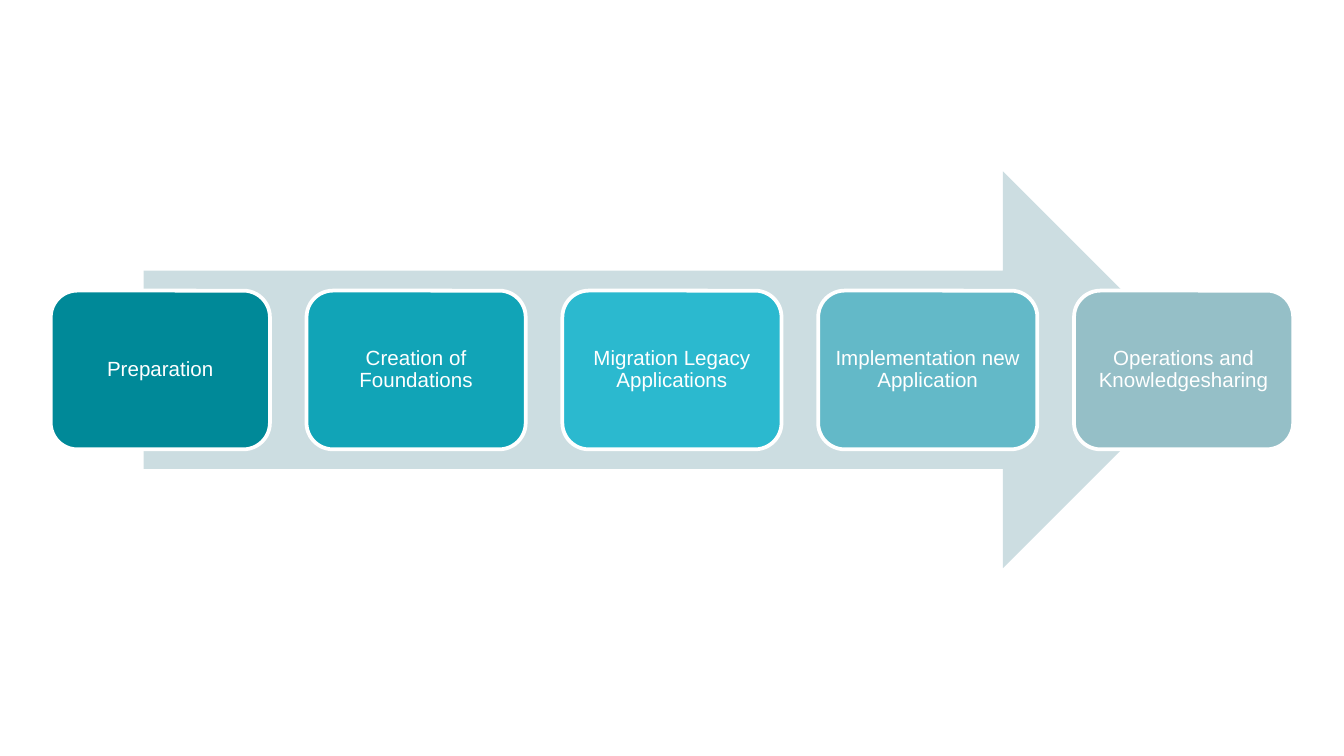
from pptx import Presentation
from pptx.dml.color import RGBColor
from pptx.enum.shapes import MSO_SHAPE
from pptx.enum.text import MSO_ANCHOR, PP_ALIGN
from pptx.util import Pt

ARROW = MSO_SHAPE.RIGHT_ARROW
ROUND = MSO_SHAPE.ROUNDED_RECTANGLE
MIDDLE = MSO_ANCHOR.MIDDLE
CENTER = PP_ALIGN.CENTER

WHITE = RGBColor(0xFF, 0xFF, 0xFF)
PALE = RGBColor(0xCC, 0xDD, 0xE1)
STEPS = [
    ("Preparation", RGBColor(0x00, 0x89, 0x98)),
    ("Creation of Foundations", RGBColor(0x11, 0xA4, 0xB7)),
    ("Migration Legacy Applications", RGBColor(0x2B, 0xB9, 0xCF)),
    ("Implementation new Application", RGBColor(0x63, 0xB9, 0xC8)),
    ("Operations and Knowledgesharing", RGBColor(0x95, 0xBF, 0xC7)),
]
LEFT, TOP, WIDTH, HEIGHT = 27.2, 155.7, 117.4, 85
PITCH = 137.05


def add_shape(slide, kind, left, top, width, height, fill, line=None):
    shape = slide.shapes.add_shape(kind, Pt(left), Pt(top), Pt(width), Pt(height))
    shape.shadow.inherit = False
    shape.fill.solid()
    shape.fill.fore_color.rgb = fill
    if line is None:
        shape.line.fill.background()
    else:
        shape.line.color.rgb = line
        shape.line.width = Pt(2)
    return shape


def set_text(shape, text, size=11, font="Arial", color=WHITE, inset=3.3):
    frame = shape.text_frame
    frame.word_wrap = True
    frame.vertical_anchor = MIDDLE
    frame.margin_left = frame.margin_right = Pt(inset)
    frame.margin_top = frame.margin_bottom = Pt(inset)
    para = frame.paragraphs[0]
    para.alignment = CENTER
    para.line_spacing = 0.9
    run = para.add_run()
    run.text = text
    run.font.size = Pt(size)
    run.font.name = font
    run.font.color.rgb = color


def main():
    deck = Presentation()
    deck.slide_width, deck.slide_height = Pt(720), Pt(405)
    slide = deck.slides.add_slide(deck.slide_layouts[6])
    add_shape(slide, ARROW, 77, 91.8, 566.6, 212.6, PALE)
    for i, (label, fill) in enumerate(STEPS):
        step = add_shape(slide, ROUND, LEFT + i * PITCH, TOP, WIDTH, HEIGHT, fill, WHITE)
        set_text(step, label)
    deck.save("out.pptx")


if __name__ == "__main__":
    main()
